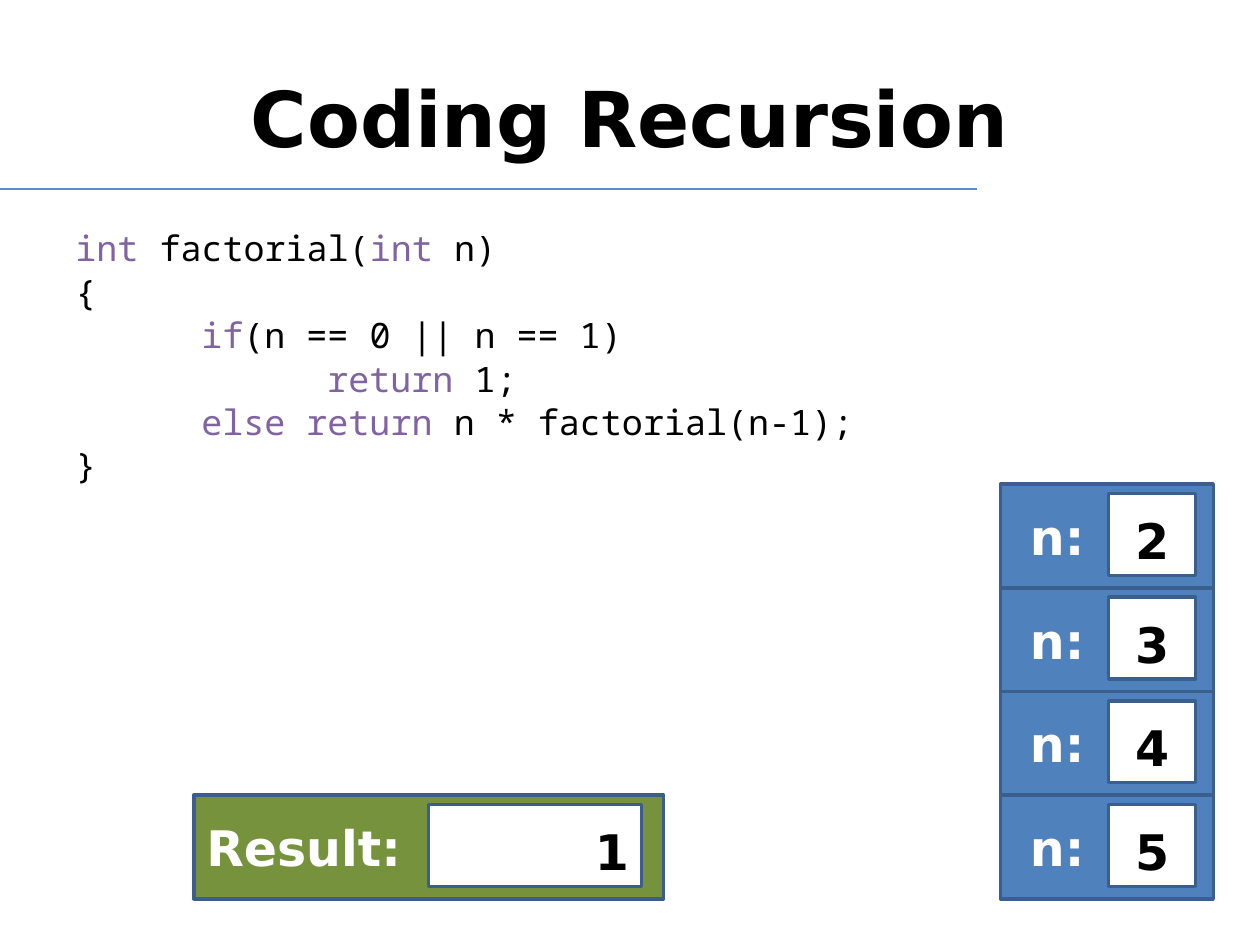
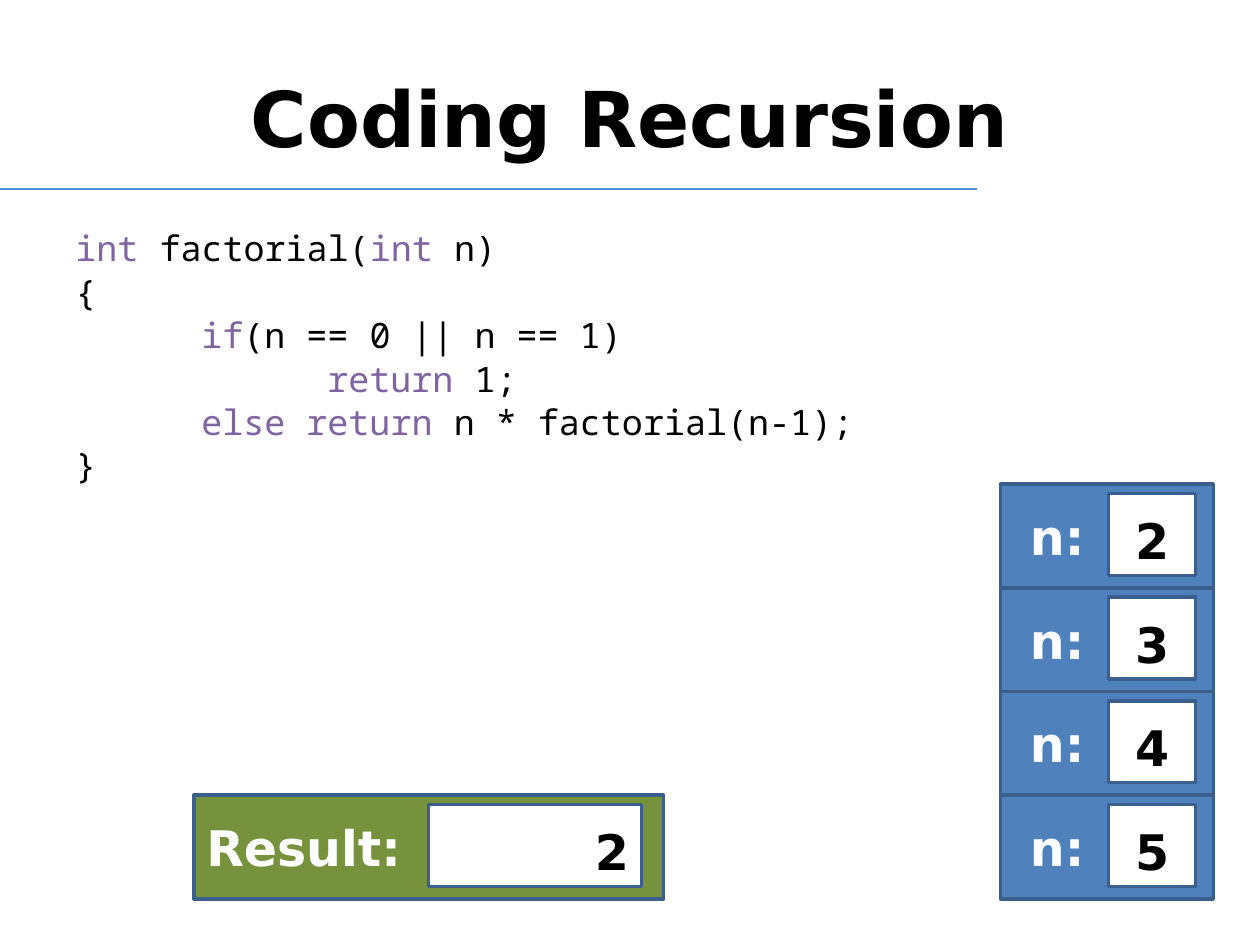
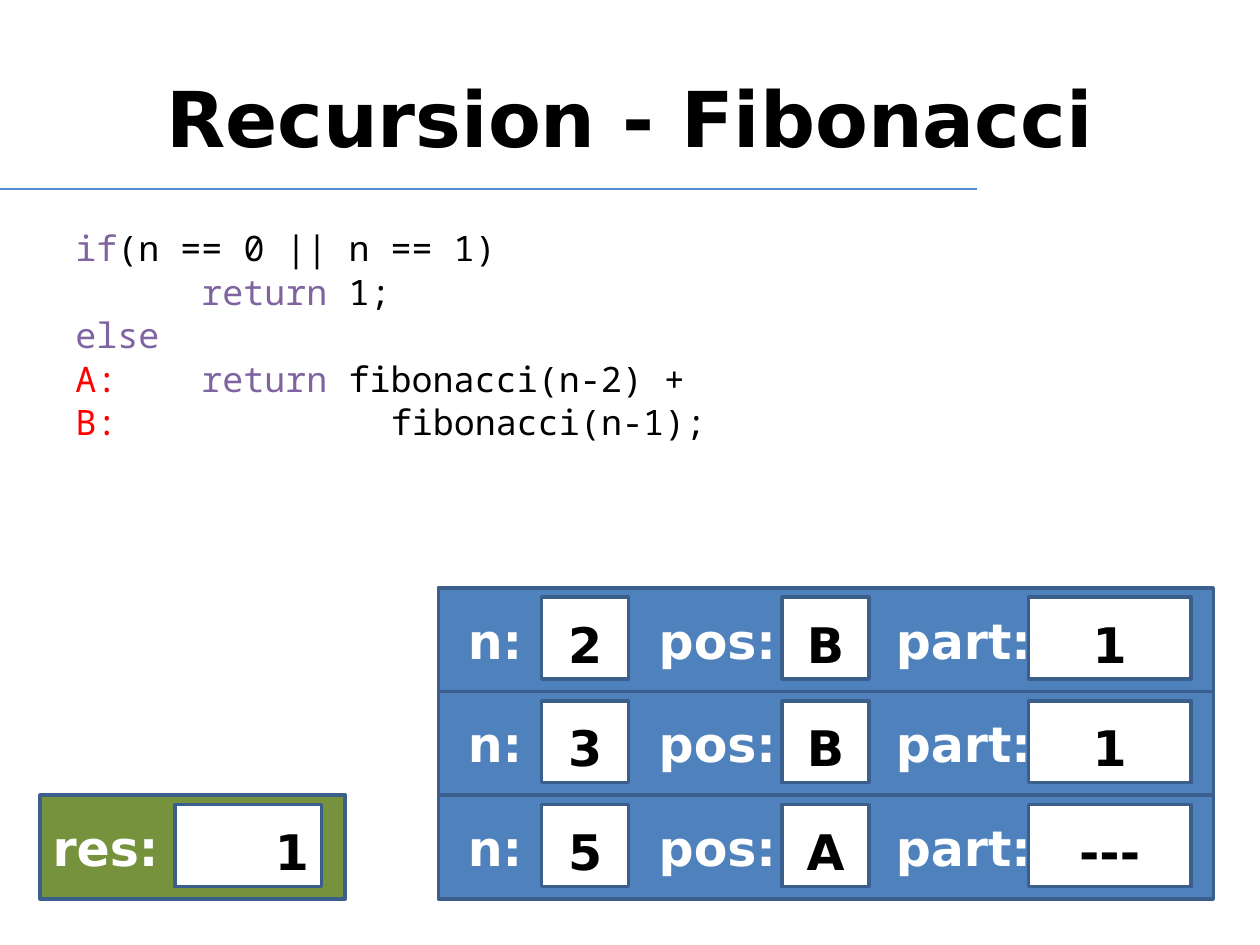
from dataclasses import dataclass

from lxml import etree
from pptx import Presentation
from pptx.dml.color import RGBColor
from pptx.enum.shapes import MSO_CONNECTOR, MSO_SHAPE
from pptx.enum.text import MSO_ANCHOR, PP_ALIGN
from pptx.oxml.ns import qn
from pptx.util import Cm, Pt

LEFT, CENTER, RIGHT = PP_ALIGN.LEFT, PP_ALIGN.CENTER, PP_ALIGN.RIGHT
TOP, MIDDLE, BOTTOM = MSO_ANCHOR.TOP, MSO_ANCHOR.MIDDLE, MSO_ANCHOR.BOTTOM
RECTANGLE, STRAIGHT = MSO_SHAPE.RECTANGLE, MSO_CONNECTOR.STRAIGHT


@dataclass(frozen=True)
class Theme:
    sans: str = "DejaVu Sans"
    mono: str = "Noto Sans Mono"
    title_size: float = 44
    code_size: float = 20
    label_size: float = 28
    code_gap: float = 0.8
    black: str = "000000"
    white: str = "FFFFFF"
    keyword: str = "8064A2"
    marker: str = "FF0000"
    rule: str = "548DD4"
    frame: str = "4F81BD"
    result: str = "76923C"
    outline: str = "3A5F8C"


THEME = Theme()
INK, KEY, MARK = THEME.black, THEME.keyword, THEME.marker

# Code: each line is its tab stops (cm) and its coloured spans
STOPS = (2.54, 5.08)
FACTORIAL = [
    (STOPS, [("int ", KEY), ("factorial(", INK), ("int", KEY), (" n)", INK)]),
    (STOPS, [("{", INK)]),
    (STOPS, [("\t", INK), ("if", KEY), ("(n == 0 || n == 1)", INK)]),
    (STOPS, [("\t\t", INK), ("return", KEY), (" 1;", INK)]),
    (STOPS, [("\t", INK), ("else return ", KEY), ("n * factorial(n-1);", INK)]),
    (STOPS, [("}", INK)]),
]
FIBONACCI = [
    (STOPS, [("if", KEY), ("(n == 0 || n == 1)", INK)]),
    (STOPS, [("\t", INK), ("return", KEY), (" 1;", INK)]),
    (STOPS, [("else ", KEY)]),
    (STOPS, [("A:", MARK), ("\treturn ", KEY), ("fibonacci(n-2) +", INK)]),
    ((6.36,), [("B:\t", MARK), ("fibonacci(n-1);", INK)]),
]

# Kinds of frame: left, width, label, label tab stops, fields (left, width), in cm
CALL = dict(left=20.17, width=4.29, label=" n:", stops=(),
            fields=[(22.35, 1.75)], fill=THEME.frame, align=CENTER)
FIB_CALL = dict(left=8.84, width=15.62, label=" n:\tpos:\tpart:", stops=(4.19, 8.97),
                fields=[(10.92, 1.75), (15.77, 1.75), (20.73, 3.28)],
                fill=THEME.frame, align=CENTER)
RESULT = dict(left=3.91, width=9.47, label="Result:", stops=(),
              fields=[(8.64, 4.29)], fill=THEME.result, align=RIGHT)
FIB_RESULT = dict(left=0.81, width=6.15, label="res:", stops=(),
                  fields=[(3.53, 2.95)], fill=THEME.result, align=RIGHT)

# Slides: the stack is listed from the bottom call upwards
FACTORIAL_STACK = [("5",), ("4",), ("3",), ("2",)]
SLIDES = [
    dict(title="Coding Recursion", code=FACTORIAL, call=CALL,
         stack=FACTORIAL_STACK, result=RESULT, value="1"),
    dict(title="Coding Recursion", code=FACTORIAL, call=CALL,
         stack=FACTORIAL_STACK, result=RESULT, value="2"),
    dict(title="Recursion - Fibonacci", code=FIBONACCI, call=FIB_CALL,
         stack=[("5", "A", "---"), ("3", "B", "1"), ("2", "B", "1")],
         result=FIB_RESULT, value="1"),
]

FRAME_TOP, FRAME_HEIGHT = 16.03, 2.09
FIELD_DROP, FIELD_HEIGHT = 0.19, 1.65


def color(value):
    return RGBColor.from_string(value)


def add_span(para, text, size, font, ink, bold):
    span = para.add_run()
    span.text = text
    span.font.size = Pt(size)
    span.font.name = font
    span.font.bold = bold
    span.font.color.rgb = color(ink)


def set_stops(para, stops):
    if stops:
        tabs = etree.SubElement(para._p.get_or_add_pPr(), qn("a:tabLst"))
        for stop in stops:
            etree.SubElement(tabs, qn("a:tab"), pos=str(Cm(stop)), algn="l")


def add_text_box(page, left, top, width, height, anchor):
    box = page.shapes.add_textbox(Cm(left), Cm(top), Cm(width), Cm(height))
    box.text_frame.word_wrap = True
    box.text_frame.vertical_anchor = anchor
    return box.text_frame


def add_box(group, left, top, width, height, fill, text, ink, align, anchor, stops=()):
    box = group.shapes.add_shape(RECTANGLE, Cm(left), Cm(top), Cm(width), Cm(height))
    box.shadow.inherit = False
    box.fill.solid()
    box.fill.fore_color.rgb = color(fill)
    box.line.color.rgb = color(THEME.outline)
    box.line.width = Pt(2)
    box.text_frame.word_wrap = True
    box.text_frame.vertical_anchor = anchor
    para = box.text_frame.paragraphs[0]
    para.alignment = align
    set_stops(para, stops)
    add_span(para, text, THEME.label_size, THEME.sans, ink, True)


def add_frame(page, kind, values, level=0):
    """A labelled frame with its value fields, level steps above the base."""
    top = FRAME_TOP - level * FRAME_HEIGHT
    group = page.shapes.add_group_shape()
    add_box(group, kind["left"], top, kind["width"], FRAME_HEIGHT, kind["fill"],
            kind["label"], THEME.white, LEFT, MIDDLE, kind["stops"])
    for (left, width), value in zip(kind["fields"], values):
        add_box(group, left, top + FIELD_DROP, width, FIELD_HEIGHT, THEME.white,
                value, INK, kind["align"], BOTTOM)


def add_heading(page, title):
    rule = page.shapes.add_connector(STRAIGHT, 0, Cm(3.81), Cm(19.69), Cm(3.81))
    rule.line.color.rgb = color(THEME.rule)
    rule.line.width = Pt(0.75)
    etree.SubElement(rule._element.spPr, qn("a:effectLst"))
    para = add_text_box(page, 1.27, 0.76, 22.86, 3.18, MIDDLE).paragraphs[0]
    para.alignment = CENTER
    add_span(para, title, THEME.title_size, THEME.sans, INK, True)


def add_code(page, lines):
    frame = add_text_box(page, 1.27, 4.45, 22.86, 12.57, TOP)
    for index, (stops, spans) in enumerate(lines):
        para = frame.add_paragraph() if index else frame.paragraphs[0]
        para.space_before = Pt(THEME.code_gap)
        set_stops(para, stops)
        for text, ink in spans:
            add_span(para, text, THEME.code_size, THEME.mono, ink, False)


deck = Presentation()
deck.slide_width, deck.slide_height = Cm(25.4), Cm(19.05)
blank = deck.slide_layouts[6]

for slide in SLIDES:
    page = deck.slides.add_slide(blank)
    add_heading(page, slide["title"])
    add_code(page, slide["code"])
    for level, values in enumerate(slide["stack"]):
        add_frame(page, slide["call"], values, level)
    add_frame(page, slide["result"], [slide["value"]])

deck.save("out.pptx")
